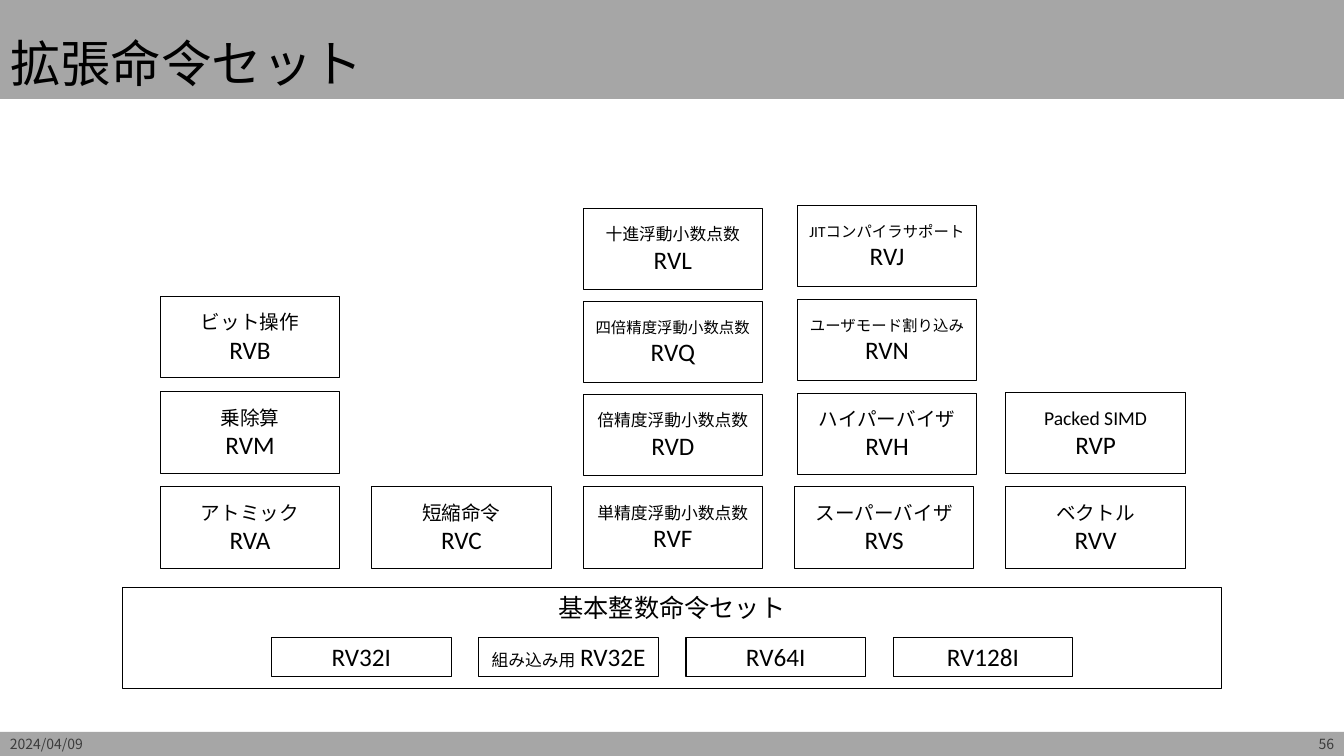
from pptx import Presentation
from pptx.dml.color import RGBColor
from pptx.enum.shapes import MSO_SHAPE
from pptx.enum.text import MSO_ANCHOR, MSO_AUTO_SIZE, PP_ALIGN
from pptx.oxml.ns import qn
from pptx.util import Pt

RECT = MSO_SHAPE.RECTANGLE
TOP, MID, BOTTOM = MSO_ANCHOR.TOP, MSO_ANCHOR.MIDDLE, MSO_ANCHOR.BOTTOM
LEFT, CENTER, RIGHT = PP_ALIGN.LEFT, PP_ALIGN.CENTER, PP_ALIGN.RIGHT
NOTO = "Noto Sans CJK JP"
BLACK, GRAY, DARK = "000000", "A6A6A6", "3C3C3C"

# Content
TITLE = "拡張命令セット"
DATE, PAGE = "2024/04/09", "56"
BASE = "基本整数命令セット"
# Each base set: runs of (text, size)
CORES = [
    [("RV32I", 18)],
    [("組み込み用", 12), (" ", 14), ("RV32E", 18)],
    [("RV64I", 18)],
    [("RV128I", 18)],
]
# Each column: row pitch, shift of the upper rows, boxes from the bottom up
STACKS = [
    (68, 0, [("アトミック", 14, "RVA"), ("乗除算", 14, "RVM"),
             ("ビット操作", 14, "RVB")]),
    (67, 0, [("短縮命令", 14, "RVC")]),
    (66.3, 0, [("単精度浮動小数点数", 12, "RVF"), ("倍精度浮動小数点数", 12, "RVD"),
               ("四倍精度浮動小数点数", 11, "RVQ"), ("十進浮動小数点数", 12, "RVL")]),
    (67, 2, [("スーパーバイザ", 14, "RVS"), ("ハイパーバイザ", 14, "RVH"),
             ("ユーザモード割り込み", 11, "RVN"), ("JITコンパイラサポート", 11, "RVJ")]),
    (67.7, 0, [("ベクトル", 14, "RVV"), ("Packed SIMD", 14, "RVP")]),
]

# Layout, in points
WIDE, HIGH = 960, 540
HEAD, FOOT = 70.7, 17.3
BOX_W, BOX_H = 128.2, 58.2
COL_X, COL_STEP, ROW_Y = 114.5, 151, 347.8
CORE_X, CORE_STEP, CORE_Y, CORE_H = 194, 148, 455.5, 27.5


def color(code):
    return RGBColor.from_string(code)


def write(shape, lines, font, ink, align, anchor, side=7.2):
    """Fill a shape with lines, each a list of (text, size) runs."""
    frame = shape.text_frame
    frame.word_wrap = True
    frame.auto_size = MSO_AUTO_SIZE.NONE
    frame.vertical_anchor = anchor
    frame.margin_left = frame.margin_right = Pt(side)
    frame.margin_top = frame.margin_bottom = Pt(3.6)
    for i, line in enumerate(lines):
        para = frame.add_paragraph() if i else frame.paragraphs[0]
        para.alignment = align
        for text, size in line:
            run = para.add_run()
            run.text = text
            run.font.name = font
            run.font.size = Pt(size)
            run.font.color.rgb = color(ink)
            east = run.font._element.makeelement(qn("a:ea"), {"typeface": NOTO})
            run.font._element.append(east)


def rect(group, x, y, w, h, fill=None):
    """Add a gray bar when filled, otherwise an outlined box."""
    shape = group.add_shape(RECT, Pt(x), Pt(y), Pt(w), Pt(h))
    shape.shadow.inherit = False
    if fill:
        shape.fill.solid()
        shape.fill.fore_color.rgb = color(fill)
        shape.line.fill.background()
    else:
        shape.fill.background()
        shape.line.color.rgb = color(BLACK)
        shape.line.width = Pt(0.75)
    return shape


def box(group, x, y, w, h, lines, anchor=MID):
    shape = rect(group, x, y, w, h)
    write(shape, lines, "Calibri", BLACK, CENTER, anchor, 3.6)


deck = Presentation()
deck.slide_width, deck.slide_height = Pt(WIDE), Pt(HIGH)
slide = deck.slides.add_slide(deck.slide_layouts[5])
shapes = slide.shapes

# Bars and title
rect(shapes, 0, HIGH - FOOT, WIDE, FOOT, GRAY)
rect(shapes, 0, 0, WIDE, HEAD, GRAY)
title = shapes.title
title.left, title.top, title.width, title.height = 0, 0, Pt(WIDE), Pt(HEAD)
write(title, [[(TITLE, 36)]], "Arial", BLACK, LEFT, BOTTOM)
title.text_frame.paragraphs[0].line_spacing = 0.9
title.element.getparent().append(title.element)  # in front of the bars

# Base instruction sets
group = shapes.add_group_shape().shapes
box(group, 87.6, 419.6, 784.8, 72, [[(BASE, 18)]], TOP)
for i, runs in enumerate(CORES):
    box(group, CORE_X + i * CORE_STEP, CORE_Y, BOX_W, CORE_H, [runs])

# Extension stacks
for col, (pitch, shift, stack) in enumerate(STACKS):
    for row, (label, size, name) in enumerate(stack):
        x = COL_X + col * COL_STEP + (shift if row else 0)
        box(group, x, ROW_Y - row * pitch, BOX_W, BOX_H,
            [[(label, size)], [(name, 18)]])

# Date and page number
for text, x, align in [(DATE, 0, LEFT), (PAGE, WIDE - 113, RIGHT)]:
    note = shapes.add_textbox(Pt(x), Pt(HIGH - FOOT), Pt(113), Pt(FOOT))
    write(note, [[(text, 10)]], NOTO, DARK, align, MID)

deck.save("out.pptx")
